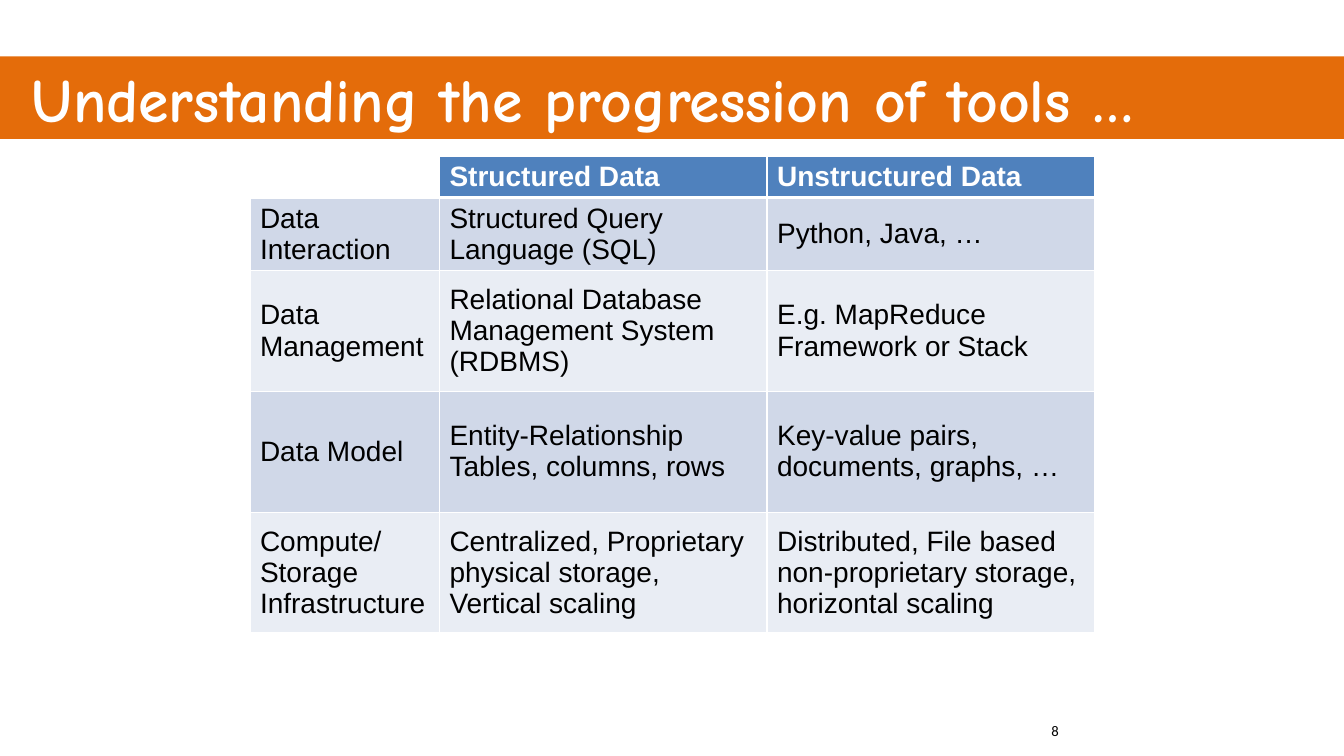
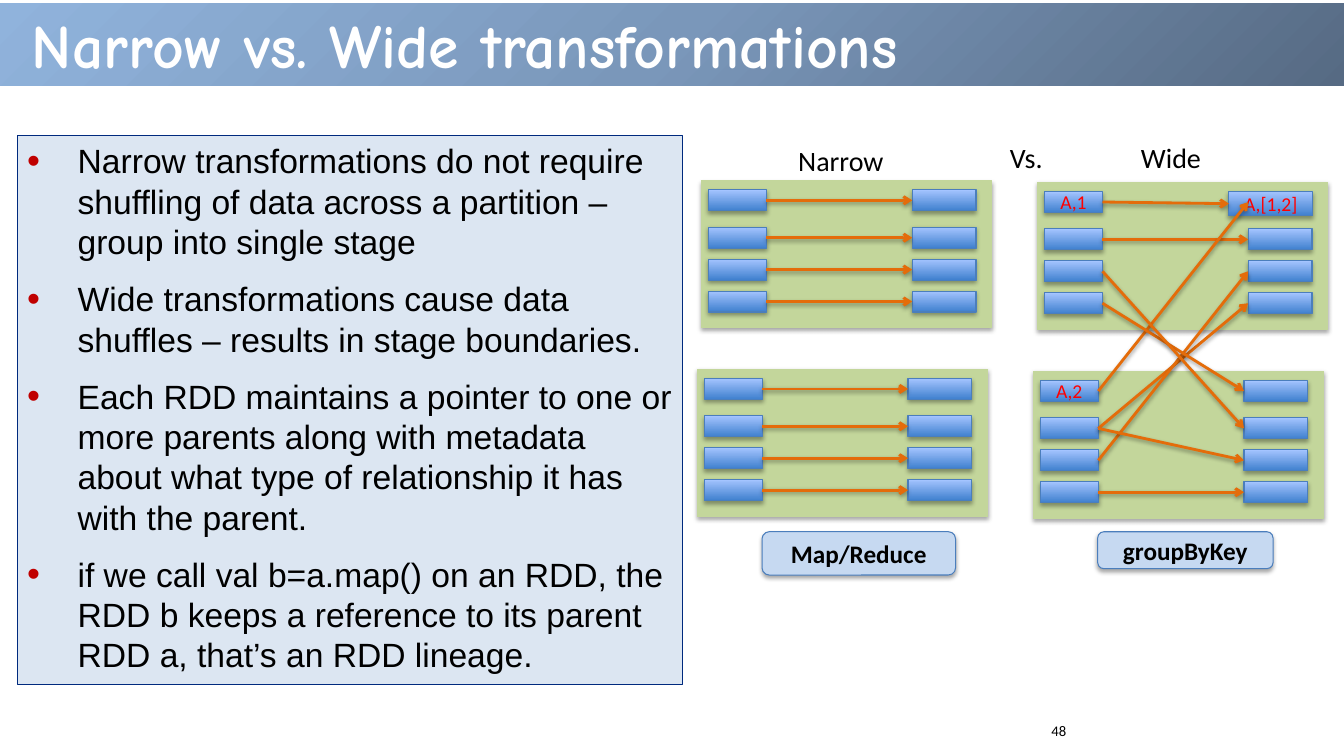
from dataclasses import dataclass
from itertools import product

from pptx import Presentation, util as u
from pptx.dml.color import RGBColor
from pptx.enum import shapes, text
from pptx.oxml import parse_xml
from pptx.oxml.ns import nsdecls, qn

NS = nsdecls("a")
COLS, ROWS = 160, 90


@dataclass(frozen=True)
class Theme:
    # Colours
    ink: str = "000000"
    white: str = "FFFFFF"
    red: str = "FF0000"
    dot: str = "C00000"
    orange: str = "E46C0A"
    head: str = "4F81BD"
    odd: str = "D0D8E8"
    even: str = "E9EDF4"
    green: str = "C3D69B"
    edge: str = "4B7EBC"
    pale: str = "C6D9F1"
    note: str = "DCE6F2"
    navy: str = "002A7E"
    box: tuple = ((0, "3F80CE"), (100, "A4C4FF"))
    band: tuple = ((0, "566A83"), (50, "7A97BA"), (100, "90B3DC"))
    # Fonts and sizes
    sans: str = "Arial"
    hand: str = "Comic Neue"
    plain: str = "Calibri"
    title: float = 44
    list: float = 24
    cell: float = 20
    label: float = 20
    tag: float = 18
    mark: float = 14
    page: float = 10.5


T = Theme()
RISE = '<a:lin ang="16200000" scaled="0"/>'
CORNER = '<a:path path="circle"><a:fillToRect l="100000" t="100000"/></a:path>'


def rgb(code):
    return RGBColor.from_string(code)


def put(frame, lines, size, font=T.plain, color=T.ink, bold=False,
        align=text.PP_ALIGN.LEFT, anchor=text.MSO_ANCHOR.TOP,
        bullet=None, gap=0):
    """Write one paragraph per line, all in the same format."""
    frame.word_wrap = True
    frame.auto_size = text.MSO_AUTO_SIZE.NONE
    frame.vertical_anchor = anchor
    for i, line in enumerate([lines] if isinstance(lines, str) else lines):
        para = frame.add_paragraph() if i else frame.paragraphs[0]
        para.alignment = align
        para.space_before = u.Pt(gap if i else 0)
        para.space_after = u.Pt(gap)
        if bullet:
            props = para._p.get_or_add_pPr()
            props.set("marL", str(u.Inches(0.5)))
            props.set("indent", str(-u.Inches(0.5)))
            for part in (f'<a:buClr {NS}><a:srgbClr val="{T.dot}"/></a:buClr>',
                         f'<a:buSzPct {NS} val="110000"/>',
                         f'<a:buFont {NS} typeface="{font}"/>',
                         f'<a:buChar {NS} char="{bullet}"/>'):
                props.append(parse_xml(part))
        run = para.add_run()
        run.text = line
        run.font.name, run.font.size, run.font.bold = font, u.Pt(size), bold
        run.font.color.rgb = rgb(color)


def paint(shape, fill, way=RISE):
    """Fill with one colour, or with gradient stops."""
    if isinstance(fill, str):
        shape.fill.solid()
        shape.fill.fore_color.rgb = rgb(fill)
        return
    shape.fill.gradient()
    stops = "".join(f'<a:gs pos="{pos * 1000}"><a:srgbClr val="{c}"/></a:gs>'
                    for pos, c in fill)
    props = shape._element.spPr
    props.replace(props.find(qn("a:gradFill")), parse_xml(
        f'<a:gradFill {NS} rotWithShape="1"><a:gsLst>{stops}</a:gsLst>{way}</a:gradFill>'))


def shade(shape, alpha, dist):
    shape._element.spPr.append(parse_xml(
        f'<a:effectLst {NS}><a:outerShdw blurRad="40000" dist="{dist}" dir="5400000" '
        f'rotWithShape="0"><a:srgbClr val="{T.ink}"><a:alpha val="{alpha * 1000}"/>'
        '</a:srgbClr></a:outerShdw></a:effectLst>'))


class Deck:
    """Holds the presentation and the slide being built, on a 160 by 90 grid."""

    def __init__(self):
        self.prs = Presentation()
        self.prs.slide_width, self.prs.slide_height = u.Inches(13.33), u.Inches(7.5)
        self.slide = None

    def x(self, cols):
        return round(self.prs.slide_width * cols / COLS)

    def y(self, rows):
        return round(self.prs.slide_height * rows / ROWS)

    def area(self, left, top, width, height):
        return self.x(left), self.y(top), self.x(width), self.y(height)

    def place(self, shape, *area):
        shape.left, shape.top, shape.width, shape.height = self.area(*area)

    def page(self, layout, title, top, fill, number):
        """Start a slide with its title band and page number."""
        self.slide = self.prs.slides.add_slide(self.prs.slide_layouts[layout])
        band = self.slide.shapes.title
        self.place(band, 0, top, COLS, 9.84)
        paint(band, fill, CORNER)
        band.text_frame.margin_left = self.x(3.8)
        put(band.text_frame, title, T.title, T.hand, T.white, True,
            anchor=text.MSO_ANCHOR.MIDDLE)
        self.label(number, 124, 85.3, 36, T.page)

    def label(self, words, left, top, width, size=T.label):
        box = self.slide.shapes.add_textbox(*self.area(left, top, width, 5))
        put(box.text_frame, words, size)

    def list(self, items, *area):
        body = self.slide.placeholders[1]
        self.place(body, *area)
        paint(body, T.note)
        body.line.color.rgb, body.line.width = rgb(T.navy), u.Pt(0.75)
        put(body.text_frame, items, T.list, T.sans, bullet="•", gap=6)

    def box(self, left, top, width, height, fill=T.box, edge=T.edge, words="",
            kind=shapes.MSO_SHAPE.RECTANGLE, **form):
        box = self.slide.shapes.add_shape(kind, *self.area(left, top, width, height))
        paint(box, fill)
        box.line.color.rgb, box.line.width = rgb(edge), u.Pt(0.75)
        shade(box, 35, 23000)
        if words:
            put(box.text_frame, words, align=text.PP_ALIGN.CENTER,
                anchor=text.MSO_ANCHOR.MIDDLE, **form)

    def tag(self, words, *area):
        self.box(*area, fill=T.pale, words=words, size=T.tag, bold=True,
                 kind=shapes.MSO_SHAPE.ROUNDED_RECTANGLE)

    def arrow(self, start, end):
        line = self.slide.shapes.add_connector(
            shapes.MSO_CONNECTOR.STRAIGHT, self.x(start[0]), self.y(start[1]),
            self.x(end[0]), self.y(end[1]))
        line.line.color.rgb, line.line.width = rgb(T.orange), u.Pt(2)
        line._element.spPr.find(qn("a:ln")).append(
            parse_xml(f'<a:tailEnd {NS} type="arrow"/>'))
        shade(line, 38, 20000)

    def table(self, rows, left, top, widths, heights):
        grid = self.slide.shapes.add_table(
            len(rows), len(widths),
            *self.area(left, top, sum(widths), sum(heights))).table
        for col, width in zip(grid.columns, widths):
            col.width = self.x(width)
        for row, height in zip(grid.rows, heights):
            row.height = self.y(height)
        for r, c in product(range(len(rows)), range(len(widths))):
            self.cell(grid.cell(r, c), rows[r][c], r)

    def cell(self, cell, words, row):
        if words:
            cell.fill.solid()
            cell.fill.fore_color.rgb = rgb(
                T.head if row == 0 else T.odd if row % 2 else T.even)
            put(cell.text_frame, words, T.cell, T.sans,
                T.ink if row else T.white, row == 0)
        else:
            cell.fill.background()
        cell.vertical_anchor = text.MSO_ANCHOR.MIDDLE
        thick = {0: "B", 1: "T"}.get(row)
        for i, side in enumerate("LRTB"):
            width = u.Pt(3 if side == thick else 1)
            cell._tc.get_or_add_tcPr().insert(i, parse_xml(
                f'<a:ln{side} {NS} w="{width}"><a:solidFill>'
                f'<a:srgbClr val="{T.white}"/></a:solidFill></a:ln{side}>'))


class Panel:
    """A green stage with four boxes on each side."""
    STEPS = (1.1, 5.55, 9.35, 13.15)
    IN, WIDE, OUT, TALL = 0.85, 6.9, 25.1, 2.5

    def __init__(self, deck, left, top, first="", last=""):
        self.left, self.top = left, top
        deck.box(left, top, 34.6, 17.5, T.green, T.green)
        for i, step in enumerate(self.STEPS):
            row = top + step
            deck.box(left + self.IN, row, self.WIDE, self.TALL, size=T.mark,
                     color=T.red, words="" if i else first)
            if last and i == 0:
                deck.box(left + 22.8, row, 10, 2.9, size=T.mark,
                         color=T.red, words=last)
            else:
                deck.box(left + self.OUT, row, 7.6, self.TALL)

    def mid(self, i):
        return self.top + self.STEPS[i] + self.TALL / 2

    def start(self, i):
        return self.left + self.IN + self.WIDE, self.mid(i)

    def end(self, i):
        return self.left + self.OUT, self.mid(i)


def tools(deck):
    deck.page(5, "Understanding the progression of tools …", 6.7, T.orange, "8")
    deck.table([
        ("", "Structured Data", "Unstructured Data"),
        ("Data Interaction", "Structured Query Language (SQL)", "Python, Java, …"),
        ("Data Management", "Relational Database Management System (RDBMS)",
         "E.g. MapReduce Framework or Stack"),
        ("Data Model", ("Entity-Relationship", "Tables, columns, rows"),
         "Key-value pairs, documents, graphs, …"),
        ("Compute/ Storage Infrastructure",
         "Centralized, Proprietary physical storage, Vertical scaling",
         "Distributed, File based non-proprietary storage, horizontal scaling"),
    ], 29.75, 18.6, (22.56, 39, 39), (4.75, 8.45, 14.4, 14.4, 14.4))


def stages(deck):
    deck.page(1, "Narrow vs. Wide transformations", 0.36, T.band, "48")
    deck.list([
        "Narrow transformations do not require shuffling of data across a "
        "partition – group into single stage",
        "Wide transformations cause data shuffles – results in stage boundaries.",
        "Each RDD maintains a pointer to one or more parents along with metadata "
        "about what type of relationship it has with the parent.",
        "if we call val b=a.map() on an RDD, the RDD b keeps a reference to its "
        "parent RDD a, that’s an RDD lineage.",
    ], 2.04, 16.1, 79.2, 65.4)

    # Narrow: each box feeds its neighbour
    for left, top in ((83.5, 21.5), (83, 43.95)):
        panel = Panel(deck, left, top)
        for i in range(4):
            deck.arrow(panel.start(i), panel.end(i))

    # Wide: boxes feed both stages
    high = Panel(deck, 123.5, 21.7, "A,1", "A,[1,2]")
    low = Panel(deck, 123, 44.2, "A,2")
    deck.arrow(high.start(0), (high.left + 22.8, high.mid(0) + 0.2))
    for src, i, dst, j in ((high, 1, high, 1), (low, 0, high, 0), (low, 1, high, 3),
                           (low, 2, high, 2), (low, 3, low, 3), (high, 3, low, 0),
                           (high, 2, low, 1), (low, 1, low, 2)):
        deck.arrow(src.start(i), dst.end(j))

    # Headings and tags
    for words, left, top in (("Narrow", 93.84, 16.5), ("Vs.", 119.04, 16.1),
                             ("Wide", 134.64, 16.1)):
        deck.label(words, left, top, 15.6)
    deck.tag("Map/Reduce", 90.72, 63.3, 23.04, 5.16)
    deck.tag("groupByKey", 130.68, 63.3, 20.88, 4.4)


def main():
    deck = Deck()
    tools(deck)
    stages(deck)
    deck.prs.save("out.pptx")


if __name__ == "__main__":
    main()
